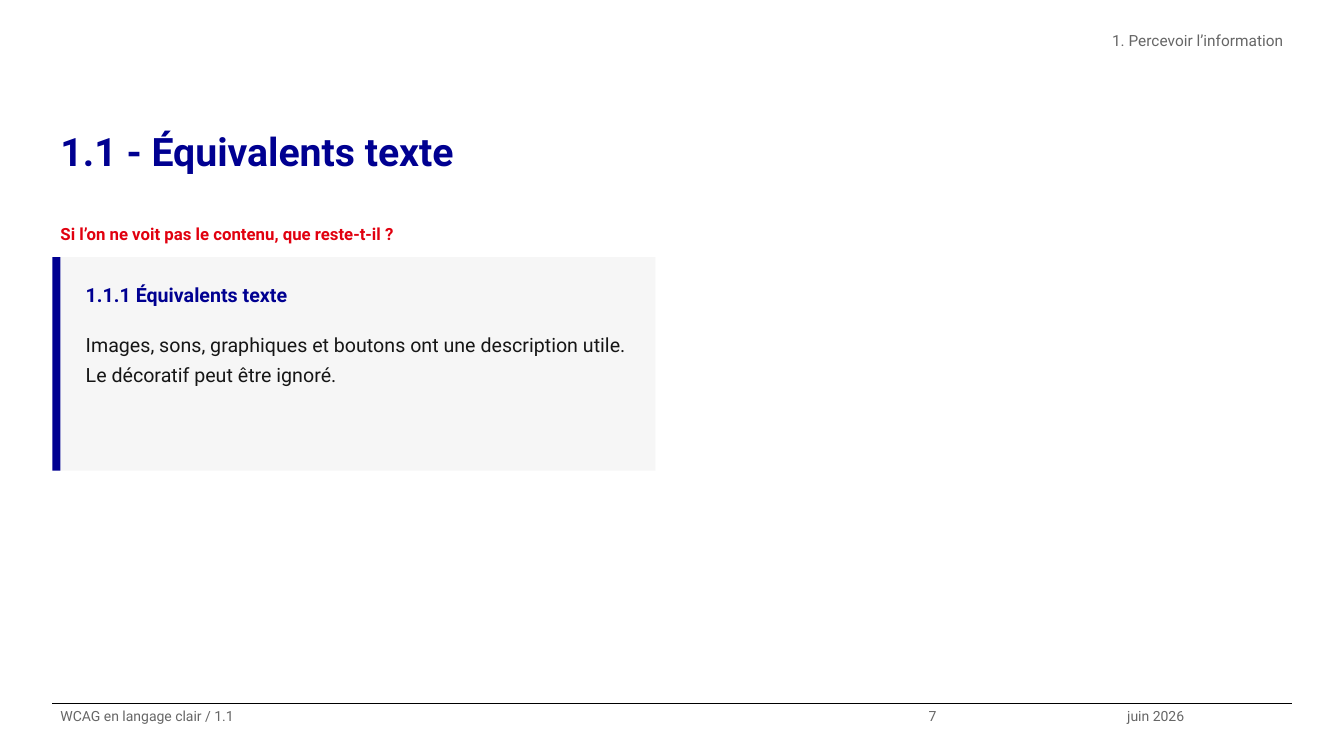
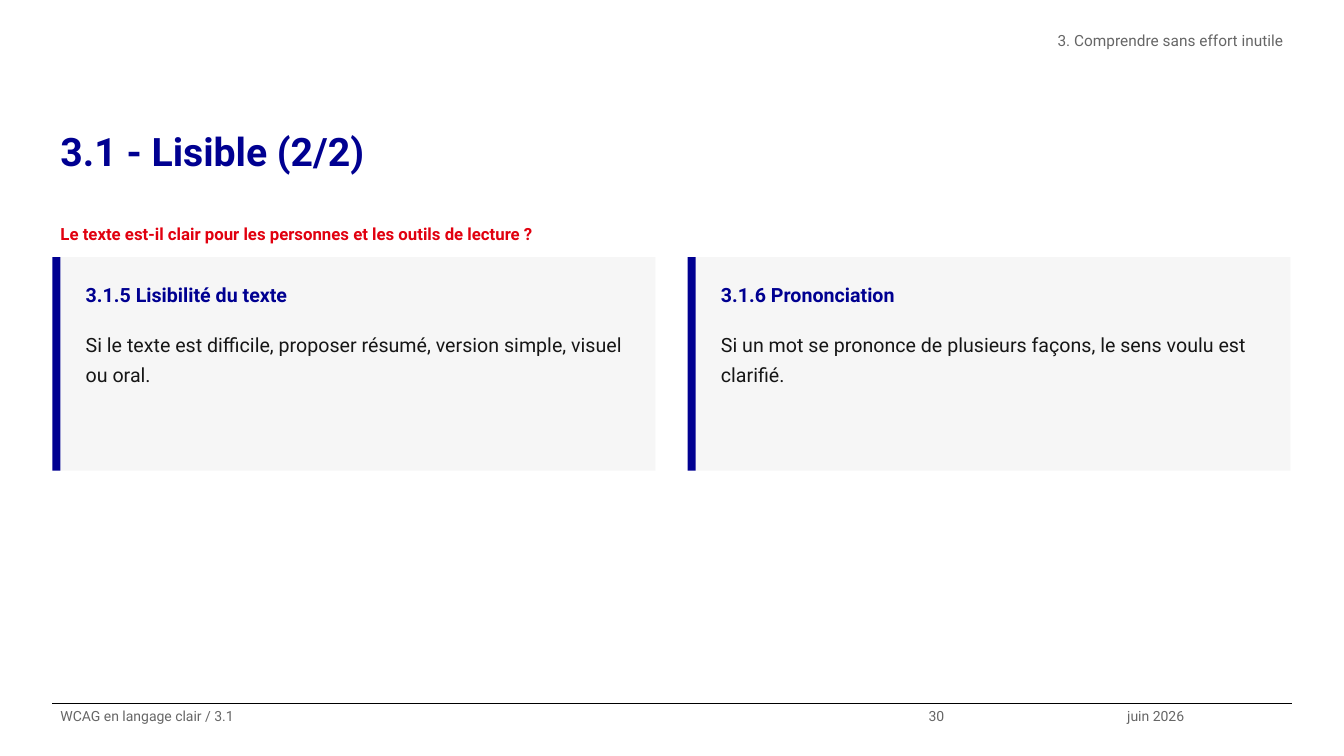
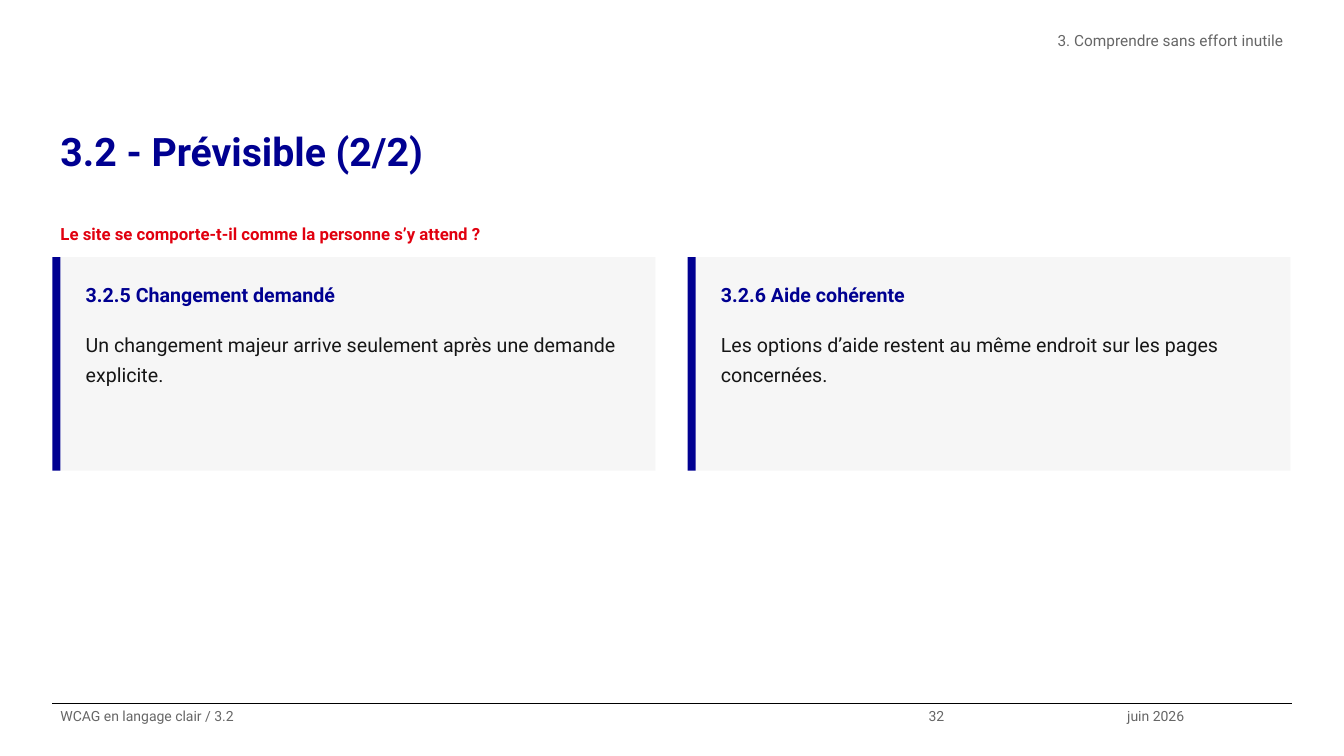
from dataclasses import dataclass

from lxml.etree import SubElement
from pptx import Presentation
from pptx.dml.color import RGBColor
from pptx.enum.shapes import MSO_CONNECTOR, MSO_SHAPE
from pptx.enum.text import MSO_ANCHOR, MSO_AUTO_SIZE, PP_ALIGN
from pptx.oxml.ns import qn
from pptx.util import Inches, Pt

COLORS = {
    "blue": "000091",
    "red": "E1000F",
    "grey": "666666",
    "ink": "161616",
    "panel": "F6F6F6",
    "rule": "000000",
}
FONT = "Roboto"
SIDE_INSET = 0.08


@dataclass
class Box:
    left: float
    top: float
    width: float
    height: float

    def inside(self, left, top, width, height):
        return Box(self.left + left, self.top + top, width, height)

    def columns(self, count, gap):
        width = (self.width - gap * (count - 1)) / count
        return [self.inside(i * (width + gap), 0, width, self.height) for i in range(count)]

    def emu(self):
        return [Inches(v) for v in (self.left, self.top, self.width, self.height)]


HEADER = Box(4.83, 0.26, 7.98, 0.52)
TITLE = Box(0.52, 1.15, 12.28, 1.05)
QUESTION = Box(0.52, 2.12, 12.28, 0.28)
CARDS = Box(0.52, 2.55, 12.28, 2.12)
FOOTER = Box(0.52, 6.98, 12.29, 0.52)
CARD_GAP = 0.32
FOOTER_COLUMNS = (8.61, 1.97, 1.71)
DATE = "juin 2026"

SLIDES = [
    {
        "chapter": "1. Percevoir l’information",
        "rule": "1.1",
        "title": "Équivalents texte",
        "page": "7",
        "question": "Si l’on ne voit pas le contenu, que reste-t-il ?",
        "cards": [
            ("1.1.1 Équivalents texte",
             "Images, sons, graphiques et boutons ont une description utile. "
             "Le décoratif peut être ignoré."),
        ],
    },
    {
        "chapter": "3. Comprendre sans effort inutile",
        "rule": "3.1",
        "title": "Lisible (2/2)",
        "page": "30",
        "question": "Le texte est-il clair pour les personnes et les outils de lecture ?",
        "cards": [
            ("3.1.5 Lisibilité du texte",
             "Si le texte est difficile, proposer résumé, version simple, visuel ou oral."),
            ("3.1.6 Prononciation",
             "Si un mot se prononce de plusieurs façons, le sens voulu est clarifié."),
        ],
    },
    {
        "chapter": "3. Comprendre sans effort inutile",
        "rule": "3.2",
        "title": "Prévisible (2/2)",
        "page": "32",
        "question": "Le site se comporte-t-il comme la personne s’y attend ?",
        "cards": [
            ("3.2.5 Changement demandé",
             "Un changement majeur arrive seulement après une demande explicite."),
            ("3.2.6 Aide cohérente",
             "Les options d’aide restent au même endroit sur les pages concernées."),
        ],
    },
]


def rgb(name):
    return RGBColor.from_string(COLORS[name])


def write(sp, text, size, color, bold=False, align=PP_ALIGN.LEFT, inset=0, grow=False):
    tf = sp.text_frame
    tf.word_wrap = True
    tf.auto_size = MSO_AUTO_SIZE.SHAPE_TO_FIT_TEXT if grow else MSO_AUTO_SIZE.NONE
    tf.vertical_anchor = MSO_ANCHOR.TOP
    tf.margin_left = tf.margin_right = Inches(SIDE_INSET)
    tf.margin_top = tf.margin_bottom = Inches(inset)
    p = tf.paragraphs[0]
    p.alignment = align
    p.line_spacing = 1.25
    p.space_before = Pt(0)
    r = p.add_run()
    r.text = text
    r.font.name = FONT
    r.font.size = Pt(size)
    r.font.bold = bold
    r.font.color.rgb = rgb(color)
    return p


def add_text(s, box, text, size, color, **style):
    write(s.shapes.add_textbox(*box.emu()), text, size, color, **style)


def fill_placeholder(sp, box, text, size, color, **style):
    sp.left, sp.top, sp.width, sp.height = box.emu()
    return write(sp, text, size, color, **style)


def add_panel(s, box, color):
    sp = s.shapes.add_shape(MSO_SHAPE.RECTANGLE, *box.emu())
    sp.shadow.inherit = False
    sp.fill.solid()
    sp.fill.fore_color.rgb = rgb(color)
    sp.line.fill.background()


def add_header(s, box, chapter):
    p = fill_placeholder(s.placeholders[1], box, chapter, 11, "grey", align=PP_ALIGN.RIGHT)
    pPr = p._p.get_or_add_pPr()
    pPr.set("marL", str(Inches(0.12)))
    pPr.set("indent", str(-Inches(0.12)))
    SubElement(pPr, qn("a:buNone"))


def add_footer(s, box, texts):
    left, top, width, _ = box.emu()
    rule = s.shapes.add_connector(MSO_CONNECTOR.STRAIGHT, left, top, left + width, top)
    rule.line.color.rgb = rgb("rule")
    rule.line.width = Pt(0.8)
    SubElement(rule._element.spPr, qn("a:effectLst"))
    offset = 0
    for text, width in zip(texts, FOOTER_COLUMNS):
        add_text(s, box.inside(offset, 0, width, box.height), text, 10, "grey")
        offset += width


def add_card(s, box, heading, body):
    bar = 0.08
    pad = 0.15
    left = bar + pad + 0.02
    width = box.width - left - pad
    add_panel(s, box.inside(bar, 0, box.width - bar, box.height), "panel")
    add_panel(s, box.inside(0, 0, bar, box.height), "blue")
    add_text(s, box.inside(left, pad, width, 0.45), heading, 14, "blue",
             bold=True, inset=0.05, grow=True)
    add_text(s, box.inside(left, 0.65, width, box.height - 0.65 - pad), body, 14, "ink",
             inset=0.05, grow=True)


def add_criteria_slide(prs, content):
    s = prs.slides.add_slide(prs.slide_layouts[1])
    fill_placeholder(s.shapes.title, TITLE, f"{content['rule']} - {content['title']}",
                     28, "blue", bold=True)
    add_header(s, HEADER, content["chapter"])
    add_text(s, QUESTION, content["question"], 12, "red", bold=True, inset=0.05, grow=True)
    for box, (heading, body) in zip(CARDS.columns(2, CARD_GAP), content["cards"]):
        add_card(s, box, heading, body)
    add_footer(s, FOOTER, (f"WCAG en langage clair / {content['rule']}", content["page"], DATE))


def main():
    prs = Presentation()
    prs.slide_width = Inches(13.33)
    prs.slide_height = Inches(7.5)
    for content in SLIDES:
        add_criteria_slide(prs, content)
    prs.save("out.pptx")


if __name__ == "__main__":
    main()
